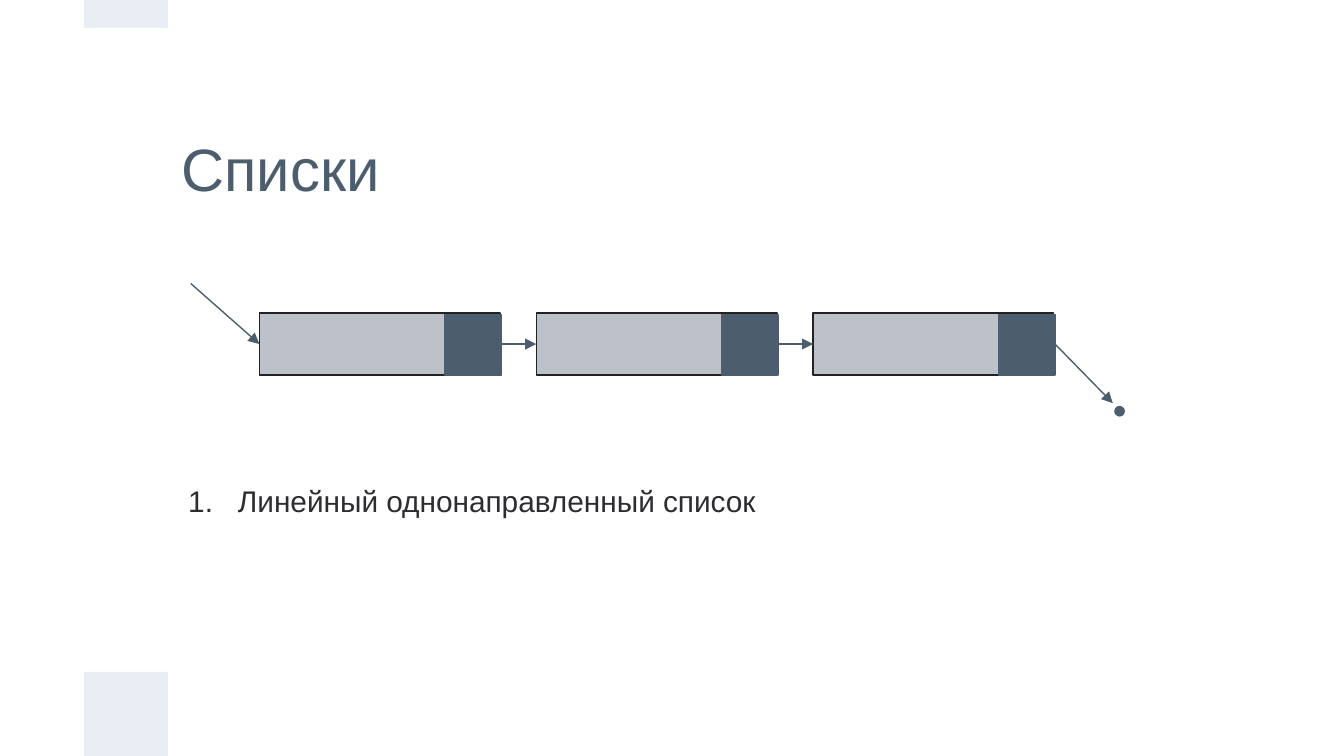
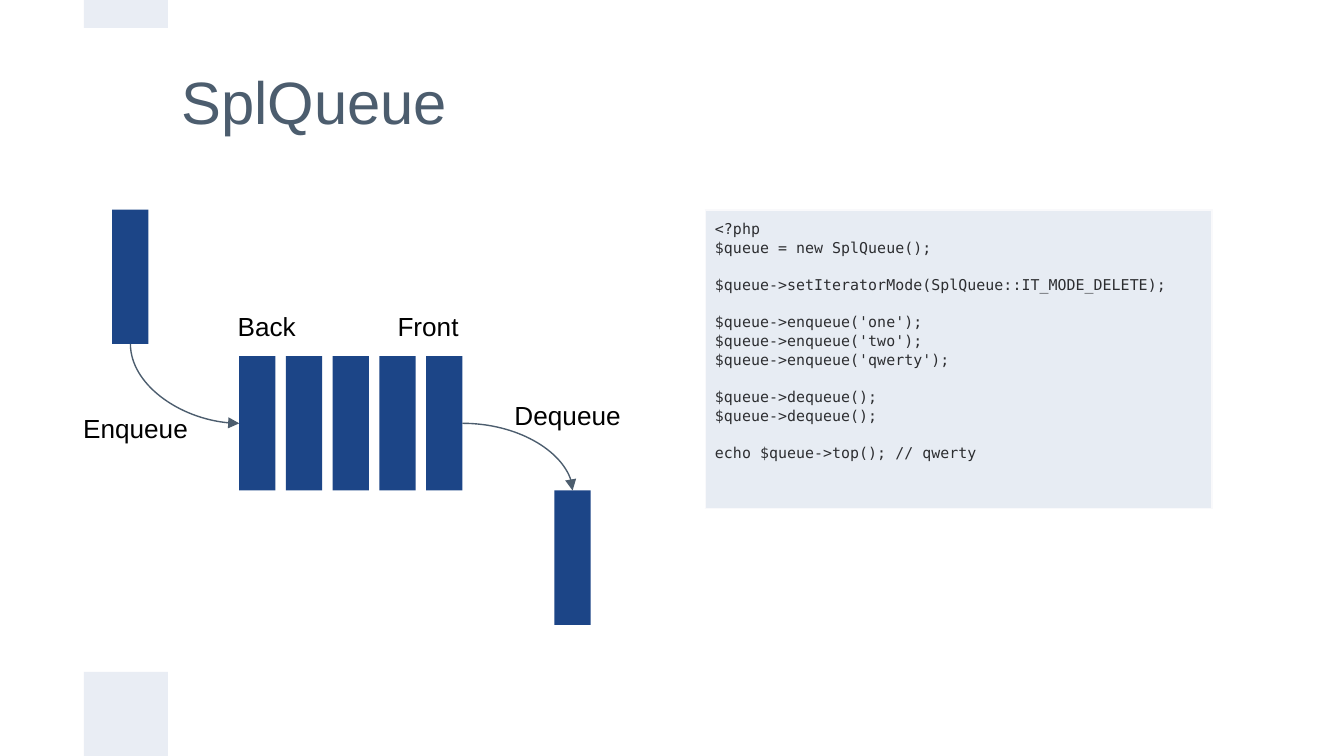
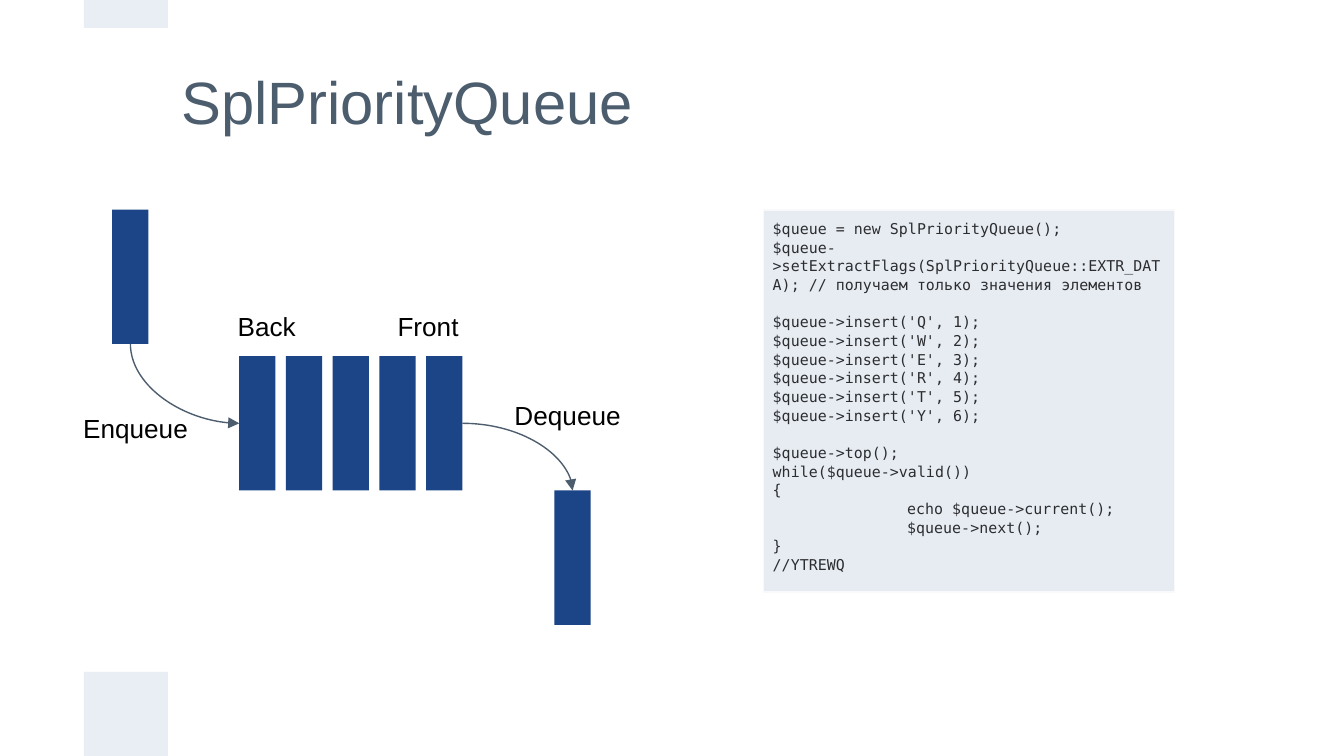
from lxml import etree
from pptx import Presentation
from pptx import util as u
from pptx.dml.color import RGBColor
from pptx.enum import shapes as es, text as et
from pptx.oxml.ns import qn

# The page is 16 by 9 units
WIDE = 10
UNIT = WIDE / 16
HIGH = 9 * UNIT

# Content
LIST_TITLE = "Списки"
LIST_ITEM = "Линейный однонаправленный список "
LABELS = [  # text, left, top, width, height
    ("Back", 1.67, 2.21, 0.73, 0.4),
    ("Front", 2.86, 2.21, 0.73, 0.4),
    ("Enqueue", 0.52, 2.97, 1.06, 0.32),
    ("Dequeue", 3.73, 2.87, 1.06, 0.32),
]
QUEUES = [
    {"title": "SplQueue", "box": (5.25, 2.5 * UNIT, 3.77, 2.22), "code": [
        "<?php",
        "$queue = new SplQueue();",
        "",
        "$queue->setIteratorMode(SplQueue::IT_MODE_DELETE);",
        "",
        "$queue->enqueue('one');",
        "$queue->enqueue('two');",
        "$queue->enqueue('qwerty');",
        "",
        "$queue->dequeue();",
        "$queue->dequeue();",
        "",
        "echo $queue->top(); // qwerty",
    ]},
    {"title": "SplPriorityQueue", "box": (5.68, 2.5 * UNIT, 3.06, 2.6),
     "code": [
        "$queue = new SplPriorityQueue();",
        "$queue->setExtractFlags(SplPriorityQueue::EXTR_DATA); "
        "// получаем только значения элементов",
        "\t",
        *[f"$queue->insert('{key}', {rank});"
          for rank, key in enumerate("QWERTY", 1)],
        "\t",
        "$queue->top(); ",
        "while($queue->valid())",
        "{ ",
        "\techo $queue->current(); ",
        "\t$queue->next(); ",
        "}",
        "//YTREWQ",
     ]},
]

# Shared look
WHITE = RGBColor(0xFF, 0xFF, 0xFF)
BLACK = RGBColor(0, 0, 0)
BAND = RGBColor(0xE9, 0xED, 0xF4)
SLATE = RGBColor(0x4C, 0x5D, 0x6E)
GREY = RGBColor(0xBD, 0xC2, 0xCA)
EDGE = RGBColor(0x22, 0x22, 0x22)
INK = RGBColor(0x2C, 0x2D, 0x30)
BLUE = RGBColor(0x1C, 0x45, 0x87)
PANEL = RGBColor(0xE7, 0xEC, 0xF3)
RIM = RGBColor(0xF9, 0xF9, 0xFB)
SANS, MONO = "Arial", "DejaVu Sans Mono"
BANDS = [(UNIT, 8 * UNIT, UNIT, UNIT), (UNIT, 0, UNIT, UNIT / 3)]
RECT, OVAL = es.MSO_SHAPE.RECTANGLE, es.MSO_SHAPE.OVAL

# Linked list: equal nodes, each with a pointer field at its right
NODES, FIRST, STEP = 3, 1.93, 2.06
NODE_TOP, NODE_W, NODE_H = 2.33, 1.79, 0.46
FIELD, FIELD_W = 1.38, 0.42

# Queue: a row of bars, one more coming in and one going out
BARS, ROW_X, ROW_END, ROW_Y = 5, 1.78, 3.44, 2.65
BAR_W, BAR_H = 0.27, 1
PITCH = (ROW_END - BAR_W - ROW_X) / (BARS - 1)
IN_MID, IN_Y, OUT_MID, OUT_Y = 0.97, 1.56, 4.26, 3.65


def inches(*nums):
    """Turn numbers into lengths."""
    return [u.Inches(n) for n in nums]


def write(frame, lines, size=14, color=BLACK, font=SANS, inset=0.1,
          anchor=et.MSO_ANCHOR.TOP, space=None, before=0):
    """Fill a text frame or table cell with formatted paragraphs."""
    edge = u.Inches(inset)
    frame.margin_left = frame.margin_right = edge
    frame.margin_top = frame.margin_bottom = edge
    frame.vertical_anchor = anchor
    body = getattr(frame, "text_frame", frame)
    for i, line in enumerate(lines):
        para = body.paragraphs[0] if i == 0 else body.add_paragraph()
        para.alignment = et.PP_ALIGN.LEFT
        para.space_before = u.Pt(before)
        if space:
            para.line_spacing = space
        if "\t" in line:
            stops = etree.SubElement(para._p.get_or_add_pPr(),
                                     qn("a:tabLst"))
            etree.SubElement(stops, qn("a:tab"), pos=str(u.Inches(1)),
                             algn="l")
        if line:
            run = para.add_run()
            run.text = line
            run.font.size, run.font.name = u.Pt(size), font
            run.font.color.rgb = color
        end = etree.SubElement(para._p, qn("a:endParaRPr"),
                               sz=str(size * 100))
        etree.SubElement(end, qn("a:latin"), typeface=font)


def place(holder, box):
    """Move a placeholder and fix its text size."""
    holder.left, holder.top, holder.width, holder.height = inches(*box)
    holder.text_frame.word_wrap = True
    holder.text_frame.auto_size = et.MSO_AUTO_SIZE.NONE


def block(parts, box, fill, line=None, kind=RECT):
    """Add a filled shape with an optional outline."""
    shape = parts.add_shape(kind, *inches(*box))
    shape.shadow.inherit = False
    shape.fill.solid()
    shape.fill.fore_color.rgb = fill
    if line is None:
        shape.line.fill.background()
    else:
        shape.line.color.rgb = line
        shape.line.width = u.Pt(0.75)
    return shape


def arrow(parts, start, end, curve=False, down=False):
    """Add an arrow; a curve leaves sideways, or downwards if down."""
    (x1, y1), (x2, y2) = start, end
    if down:  # a box turned a quarter about the same centre
        mid_x, mid_y = (x1 + x2) / 2, (y1 + y2) / 2
        half_w, half_h = (y2 - y1) / 2, (x2 - x1) / 2
        x1, x2 = mid_x - half_w, mid_x + half_w
        y1, y2 = mid_y - half_h, mid_y + half_h
    kind = es.MSO_CONNECTOR.CURVE if curve else es.MSO_CONNECTOR.STRAIGHT
    link = parts.add_connector(kind, *inches(x1, y1, x2, y2))
    link.line.color.rgb = SLATE
    link.line.width = u.Pt(0.75)
    props = link.element.spPr
    etree.SubElement(props.find(qn("a:ln")), qn("a:tailEnd"), type="triangle")
    etree.SubElement(props, qn("a:effectLst"))
    if curve:
        props.find(qn("a:prstGeom")).set("prst", "curvedConnector2")
    if down:
        frame = props.find(qn("a:xfrm"))
        frame.set("rot", str(270 * 60000))
        frame.set("flipH", "1")


def start(deck, layout, title, box):
    """Add a slide with its title."""
    slide = deck.slides.add_slide(deck.slide_layouts[layout])
    place(slide.shapes.title, box)
    write(slide.shapes.title.text_frame, [title], size=32, color=SLATE,
          anchor=et.MSO_ANCHOR.MIDDLE)
    return slide


def dress(deck, slide):
    """Set the white ground and move the bands to the slide master."""
    master = deck.slide_master
    master.background.fill.solid()
    master.background.fill.fore_color.rgb = WHITE
    for box in BANDS:
        band = block(slide.shapes, box, BAND)
        master.shapes.element.insert(2, band.element)


def chain(parts):
    """Draw the linked list."""
    mid = NODE_TOP + NODE_H / 2
    tail = (1.42, 2.11)
    for i in range(NODES):
        left = FIRST + i * STEP
        block(parts, (left, NODE_TOP, NODE_W, NODE_H), GREY, EDGE)
        block(parts, (left + FIELD, NODE_TOP + 0.01, FIELD_W, NODE_H - 0.01),
              SLATE, SLATE)
        arrow(parts, tail, (left, mid))
        tail = (left + FIELD + FIELD_W, mid)
    arrow(parts, tail, (8.28, 3))
    block(parts, (8.29, 3.02, 0.08, 0.08), SLATE, kind=OVAL)


def queue(parts):
    """Draw the queue with its two arrows and labels."""
    spots = [(ROW_X + i * PITCH, ROW_Y) for i in range(BARS)]
    spots += [(IN_MID - BAR_W / 2, IN_Y), (OUT_MID - BAR_W / 2, OUT_Y)]
    for x, y in spots:
        block(parts, (x, y, BAR_W, BAR_H), BLUE)
    mid = ROW_Y + BAR_H / 2
    arrow(parts, (IN_MID, IN_Y + BAR_H), (ROW_X, mid), curve=True, down=True)
    arrow(parts, (ROW_END, mid), (OUT_MID, OUT_Y), curve=True)
    for text, *box in LABELS:
        label = parts.add_textbox(*inches(*box)).text_frame
        label.word_wrap = True
        write(label, [text])


def panel(slide, box, code):
    """Show code in a one-cell table."""
    table = slide.shapes.add_table(1, 1, *inches(*box)).table
    table.first_row = table.horz_banding = False
    cell = table.cell(0, 0)
    write(cell, code, size=8, color=INK, font=MONO, inset=0.07, space=1.07)
    cell.fill.solid()
    cell.fill.fore_color.rgb = PANEL
    props = cell._tc.get_or_add_tcPr()
    for i, side in enumerate(("lnL", "lnR", "lnT", "lnB")):
        rim = etree.Element(qn("a:" + side), w=str(u.Pt(1)))
        fill = etree.SubElement(rim, qn("a:solidFill"))
        etree.SubElement(fill, qn("a:srgbClr"), val=str(RIM))
        props.insert(i, rim)


def number(para):
    """Give a paragraph an automatic number and a hanging indent."""
    props = para._p.get_or_add_pPr()
    props.set("marL", str(u.Inches(0.5)))
    props.set("indent", str(u.Inches(-0.37)))
    color = etree.SubElement(props, qn("a:buClr"))
    etree.SubElement(color, qn("a:srgbClr"), val=str(INK))
    etree.SubElement(props, qn("a:buFont"), typeface=SANS)
    etree.SubElement(props, qn("a:buAutoNum"), type="arabicPeriod")


deck = Presentation()
deck.slide_width, deck.slide_height = inches(WIDE, HIGH)

slide = start(deck, 1, LIST_TITLE, (2 * UNIT, UNIT, 12 * UNIT, 2 * UNIT))
dress(deck, slide)
chain(slide.shapes.add_group_shape().shapes)
body = slide.placeholders[1]
place(body, (1.24, 3.2, 7.5, 1.05))
write(body.text_frame, [LIST_ITEM], size=16, color=INK, inset=0.03,
      anchor=et.MSO_ANCHOR.MIDDLE, before=10)
number(body.text_frame.paragraphs[0])

for item in QUEUES:
    slide = start(deck, 5, item["title"], (2 * UNIT, 0.29, 12 * UNIT, 0.91))
    queue(slide.shapes.add_group_shape().shapes)
    panel(slide, item["box"], item["code"])

deck.save("out.pptx")
